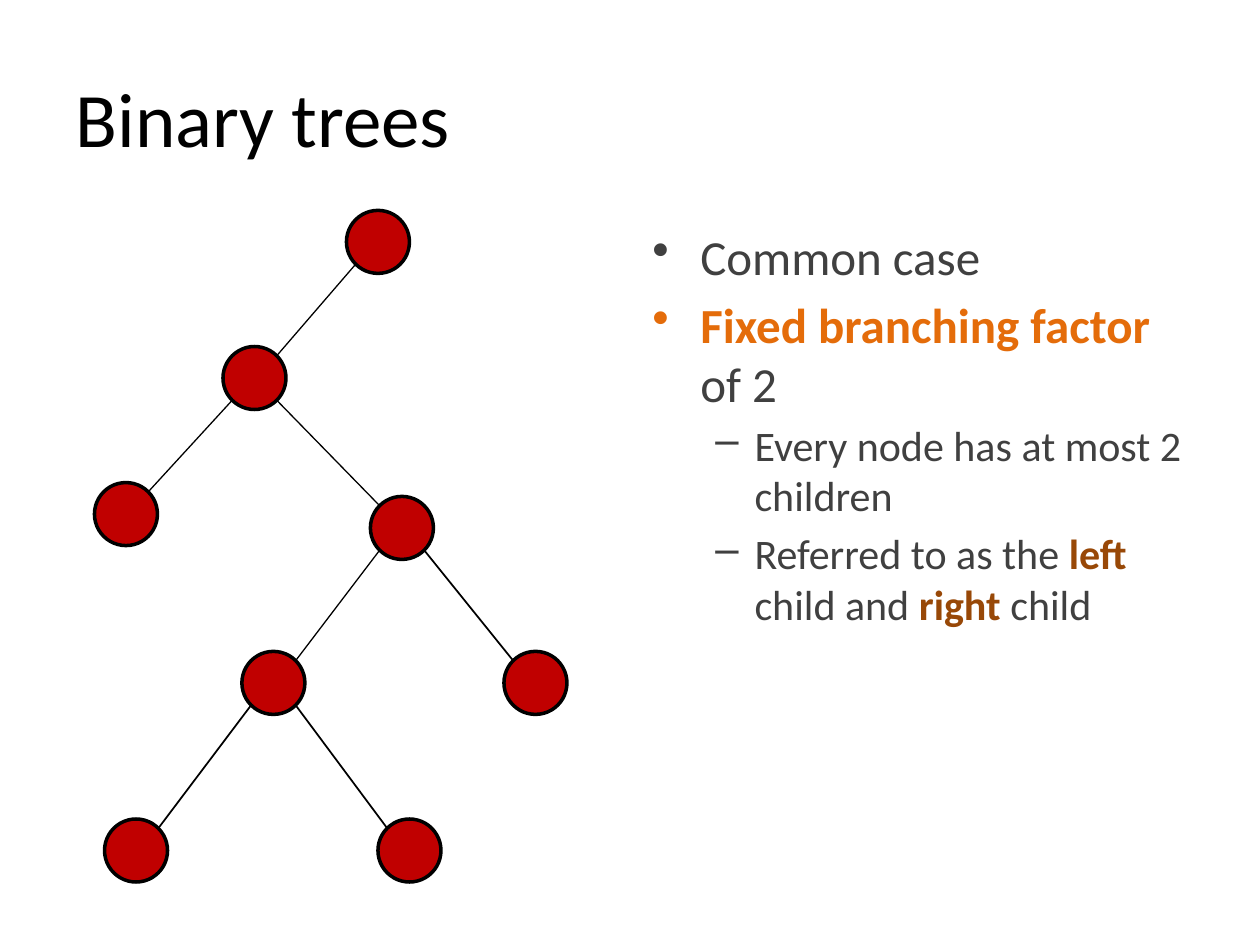
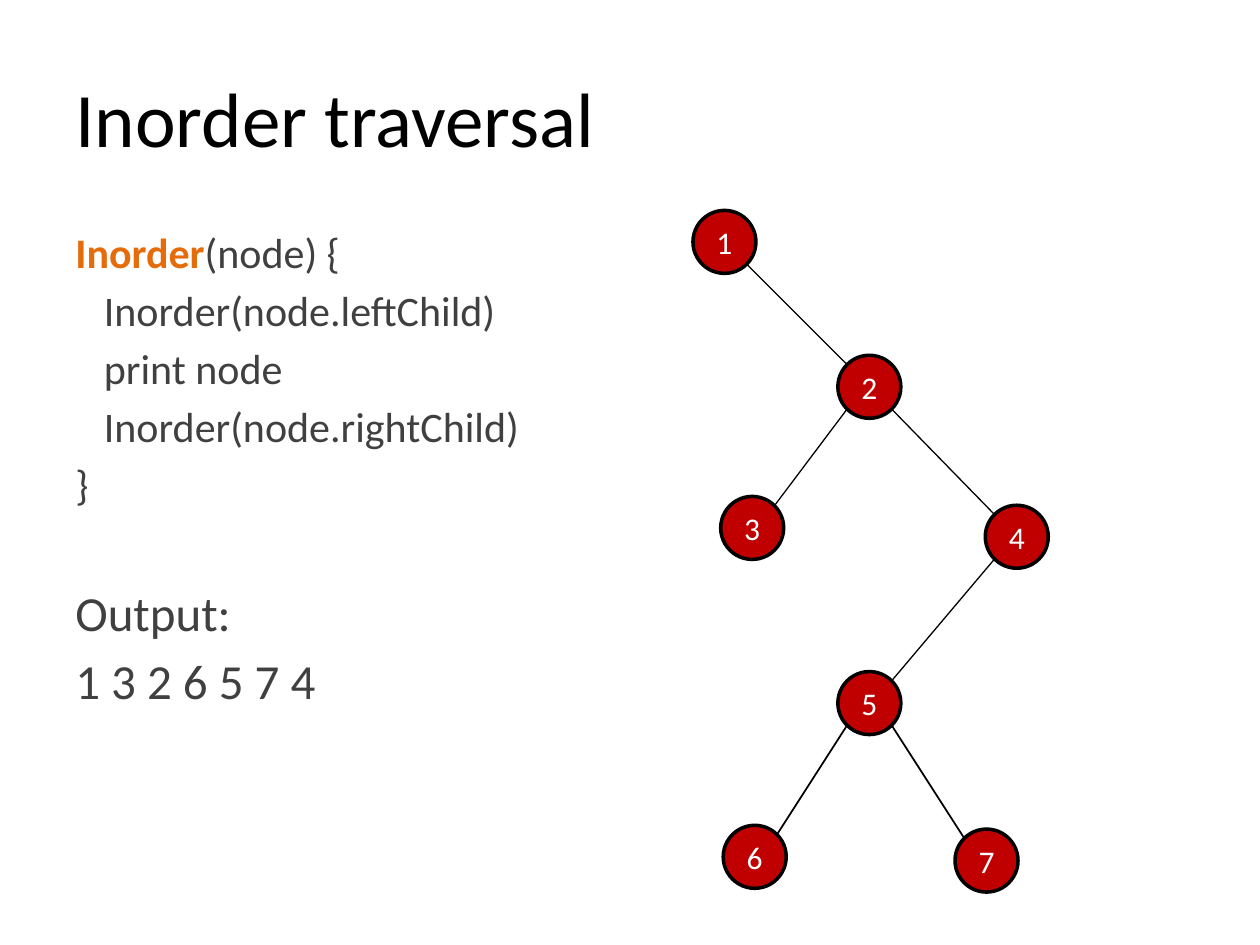
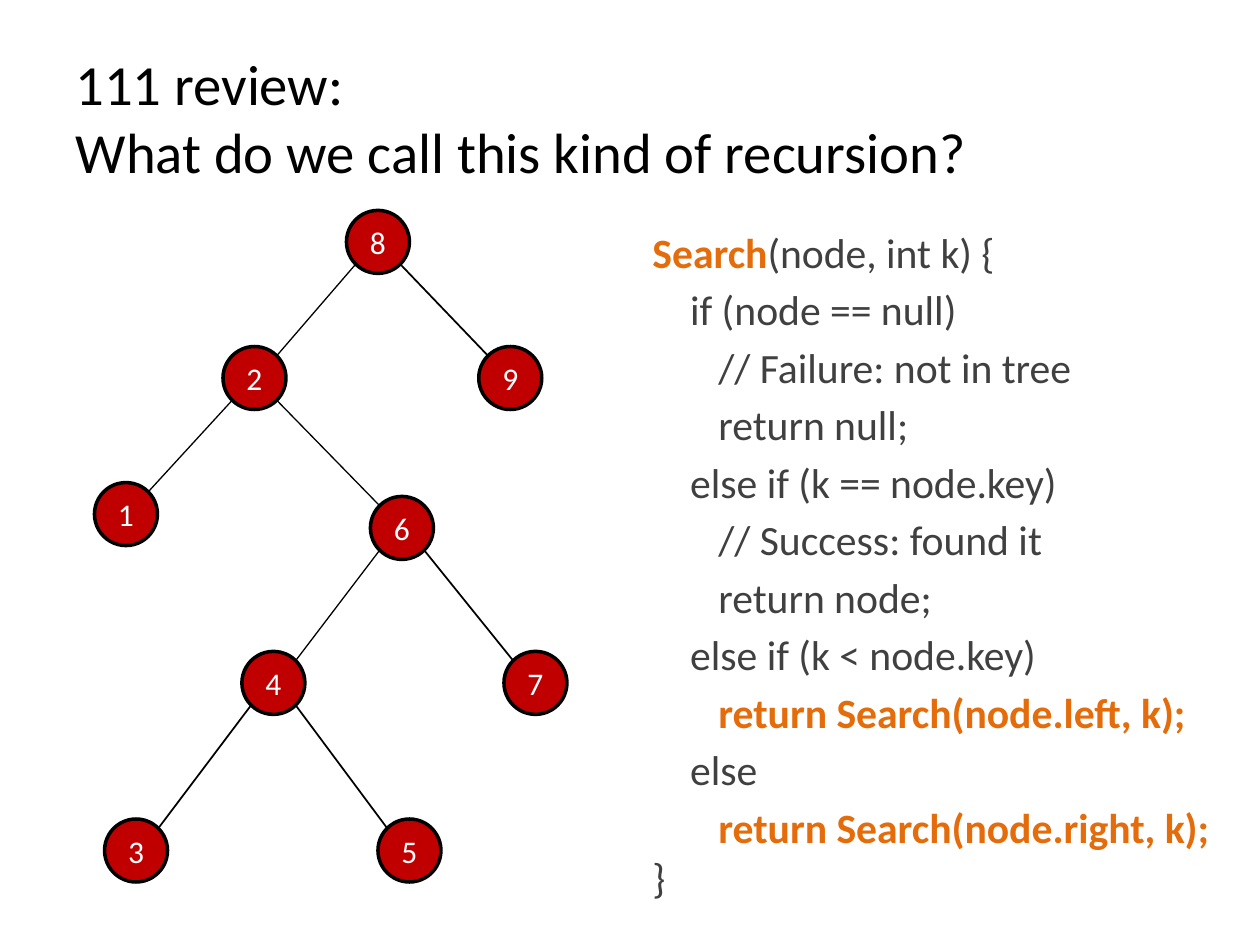
from dataclasses import dataclass
from math import sqrt

from lxml.etree import SubElement
from pptx import Presentation
from pptx.dml.color import RGBColor
from pptx.enum.shapes import MSO_CONNECTOR, MSO_SHAPE
from pptx.enum.text import MSO_ANCHOR, MSO_AUTO_SIZE, PP_ALIGN
from pptx.oxml.ns import qn
from pptx.util import Inches, Pt


@dataclass(frozen=True)
class Theme:
    font: str = "Calibri"
    title: str = "000000"
    body: str = "404040"
    accent: str = "E46C0A"
    term: str = "984807"
    node: str = "C00000"
    outline: str = "000000"
    label: str = "FFFFFF"
    title_size: float = 44
    long_title_size: float = 32.4
    point_size: float = 28
    code_size: float = 24
    long_code_size: float = 23.8
    label_size: float = 18
    paragraph_gap: float = 0.18  # share of the type size
    space_width: float = 0.226   # share of the type size
    node_line: float = 2
    thin: float = 0.75
    thick: float = 1


THEME = Theme()
WIDTH, HEIGHT = Inches(10), Inches(7.5)
NODE = WIDTH // 20  # node diameter, also the pitch of the tree grid

# Boxes as shares of the slide: left, top, width, height
TITLE_BOX = (0.05, 0.04, 0.9, 0.1667)
LEFT_TEXT = (0.05, 0.2333, 0.442, 0.66)
RIGHT_TEXT = (0.508, 0.2333, 0.442, 0.66)
WIDE_RIGHT_TEXT = (0.508, 0.2333, 0.492, 0.66)
LEFT_TREE = (0.05, 0.2227, 0.442, 0.72)
RIGHT_TREE = (0.508, 0.2227, 0.442, 0.72)

# Trees: key -> (column, row, parent, edge width), on the node grid of the box
SEARCH_TREE = {
    8: (4.5, 0, None, None),
    2: (2.54, 2.16, 8, THEME.thin),
    9: (6.6, 2.16, 8, THEME.thick),
    1: (0.5, 4.32, 2, THEME.thin),
    6: (4.88, 4.54, 2, THEME.thin),
    4: (2.84, 7, 6, THEME.thin),
    7: (7, 7, 6, THEME.thick),
    3: (0.66, 9.66, 4, THEME.thick),
    5: (5, 9.66, 4, THEME.thick),
}
BINARY_TREE = {key: spot for key, spot in SEARCH_TREE.items() if key != 9}
TRAVERSAL_TREE = {
    1: (0.84, 0, None, None),
    2: (3.14, 2.3, 1, THEME.thin),
    3: (1.28, 4.54, 2, THEME.thin),
    4: (5.48, 4.68, 2, THEME.thin),
    5: (3.14, 7.32, 4, THEME.thin),
    6: (1.32, 9.76, 5, THEME.thick),
    7: (5, 9.82, 5, THEME.thick),
}


def rgb(colour):
    return RGBColor.from_string(colour)


def place(box):
    left, top, width, height = box
    return (int(left * WIDTH), int(top * HEIGHT),
            int(width * WIDTH), int(height * HEIGHT))


def add_run(paragraph, words, size, colour, bold=False):
    run = paragraph.add_run()
    run.text = words
    run.font.name = THEME.font
    run.font.size = Pt(size)
    run.font.bold = bold
    run.font.color.rgb = rgb(colour)


def add_title(slide, lines, size):
    title = slide.shapes.title
    title.left, title.top, title.width, title.height = place(TITLE_BOX)
    frame = title.text_frame
    frame.auto_size = MSO_AUTO_SIZE.NONE
    frame.vertical_anchor = MSO_ANCHOR.MIDDLE
    paragraph = frame.paragraphs[0]
    paragraph.alignment = PP_ALIGN.LEFT
    for number, line in enumerate(lines):
        if number:
            paragraph.add_line_break()
        add_run(paragraph, line, size, THEME.title)


def add_text_frame(slide, box):
    frame = slide.shapes.add_textbox(*place(box)).text_frame
    frame.word_wrap = True
    return frame


def next_paragraph(frame, size, gap=None):
    first = frame.paragraphs[0]
    paragraph = frame.add_paragraph() if first.runs else first
    paragraph.space_before = Pt(size * THEME.paragraph_gap if gap is None else gap)
    return paragraph


def set_indent(paragraph, margin, first_line):
    properties = paragraph._p.get_or_add_pPr()
    properties.set("marL", str(Inches(margin)))
    properties.set("indent", str(Inches(first_line)))
    return properties


def add_points(slide, box, points):
    """Bulleted points: (level, runs), each run (words, colour, bold)."""
    styles = [(THEME.point_size, 0.38, -0.38, "\u2022"),
              (THEME.code_size, 0.81, -0.31, "\u2013")]
    frame = add_text_frame(slide, box)
    for level, runs in points:
        size, margin, hang, bullet = styles[level]
        paragraph = next_paragraph(frame, size)
        paragraph.level = level
        properties = set_indent(paragraph, margin, hang)
        SubElement(properties, qn("a:buChar")).set("char", bullet)
        for words, colour, bold in runs:
            add_run(paragraph, words, size, colour, bold)


def add_code(slide, box, lines, size):
    """Code lines: (indent in characters, highlighted part, plain part)."""
    frame = add_text_frame(slide, box)
    for indent, highlight, plain in lines:
        paragraph = next_paragraph(frame, size)
        set_indent(paragraph, 0, indent * THEME.space_width * size / 72)
        if highlight:
            add_run(paragraph, highlight, size, THEME.accent, True)
        if plain.startswith("\n"):
            paragraph.add_line_break()
        add_run(paragraph, plain.lstrip("\n"), size, THEME.body) if plain else None
    return frame


def add_edge(slide, parent, child, width):
    """Line between the lower diagonal of a parent and the upper one of a child."""
    reach = int(NODE / 2 / sqrt(2))
    side = reach if child[0] > parent[0] else -reach
    edge = slide.shapes.add_connector(
        MSO_CONNECTOR.STRAIGHT,
        parent[0] + side, parent[1] + reach,
        child[0] - side, child[1] - reach)
    edge.line.color.rgb = rgb(THEME.outline)
    edge.line.width = Pt(width)
    SubElement(edge._element.spPr, qn("a:effectLst"))


def add_node(slide, centre, label):
    node = slide.shapes.add_shape(
        MSO_SHAPE.OVAL, centre[0] - NODE // 2, centre[1] - NODE // 2, NODE, NODE)
    node.shadow.inherit = False
    node.fill.solid()
    node.fill.fore_color.rgb = rgb(THEME.node)
    node.line.color.rgb = rgb(THEME.outline)
    node.line.width = Pt(THEME.node_line)
    if label:
        frame = node.text_frame
        frame.vertical_anchor = MSO_ANCHOR.MIDDLE
        frame.paragraphs[0].alignment = PP_ALIGN.CENTER
        add_run(frame.paragraphs[0], label, THEME.label_size, THEME.label)


def add_tree(slide, box, tree, labelled=True):
    left, top, _, _ = place(box)
    centres = {key: (left + int((column + 0.5) * NODE), top + int((row + 0.5) * NODE))
               for key, (column, row, _, _) in tree.items()}
    for key, (_, _, parent, width) in tree.items():
        if parent is not None:
            add_edge(slide, centres[parent], centres[key], width)
    for key, centre in centres.items():
        add_node(slide, centre, str(key) if labelled else "")


def binary_trees_slide(slide):
    add_title(slide, ["Binary trees"], THEME.title_size)
    add_points(slide, RIGHT_TEXT, [
        (0, [("Common case", THEME.body, False)]),
        (0, [("Fixed branching factor ", THEME.accent, True),
             ("of 2", THEME.body, False)]),
        (1, [("Every node has at most 2 children", THEME.body, False)]),
        (1, [("Referred to as the ", THEME.body, False),
             ("left ", THEME.term, True),
             ("child and ", THEME.body, False),
             ("right ", THEME.term, True),
             ("child", THEME.body, False)]),
    ])
    add_tree(slide, LEFT_TREE, BINARY_TREE, labelled=False)


def inorder_slide(slide):
    add_title(slide, ["Inorder traversal"], THEME.title_size)
    frame = add_code(slide, LEFT_TEXT, [
        (0, "Inorder", "(node) {"),
        (3, "", "Inorder(node.leftChild)"),
        (3, "", "print node"),
        (3, "", "Inorder(node.rightChild)"),
        (0, "", "}"),
    ], THEME.code_size)
    # Output, set one line apart from the code
    for words, gap in [("Output:", 1.5 * THEME.point_size), ("1 3 2 6 5 7 4", None)]:
        paragraph = next_paragraph(frame, THEME.point_size, gap)
        add_run(paragraph, words, THEME.point_size, THEME.body)
    add_tree(slide, RIGHT_TREE, TRAVERSAL_TREE)


def recursion_slide(slide):
    add_title(slide, ["111 review:", "What do we call this kind of recursion?"],
              THEME.long_title_size)
    add_code(slide, WIDE_RIGHT_TEXT, [
        (0, "Search", "(node, int k) {"),
        (4, "", "if (node == null)"),
        (7, "", "// Failure: not in tree"),
        (7, "", "return null;"),
        (4, "", "else if (k == node.key)"),
        (7, "", "// Success: found it"),
        (7, "", "return node;"),
        (4, "", "else if (k < node.key)"),
        (7, "return Search(node.left, k);", ""),
        (4, "", "else"),
        (7, "return Search(node.right, k);", "\n}"),
    ], THEME.long_code_size)
    add_tree(slide, LEFT_TREE, SEARCH_TREE)


deck = Presentation()
deck.slide_width, deck.slide_height = WIDTH, HEIGHT
title_only = deck.slide_layouts[5]
for build in (binary_trees_slide, inorder_slide, recursion_slide):
    build(deck.slides.add_slide(title_only))
deck.save("out.pptx")
